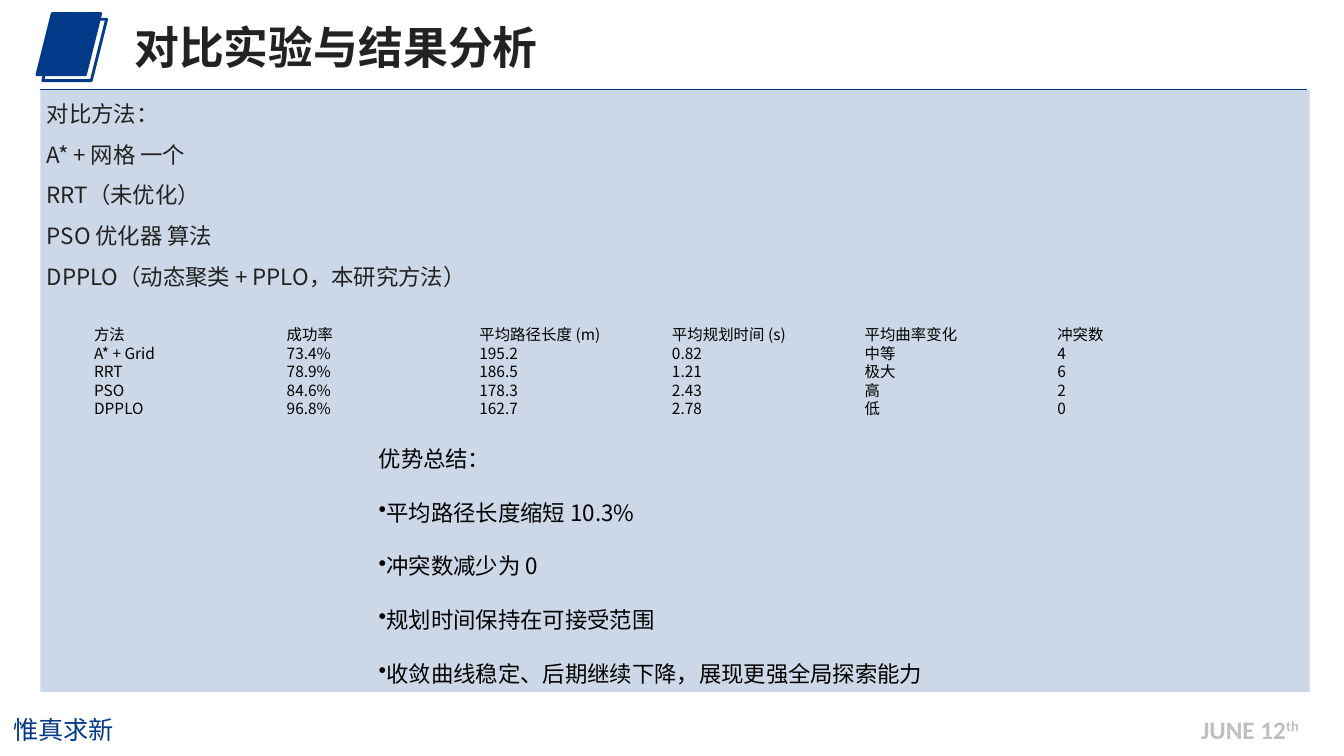
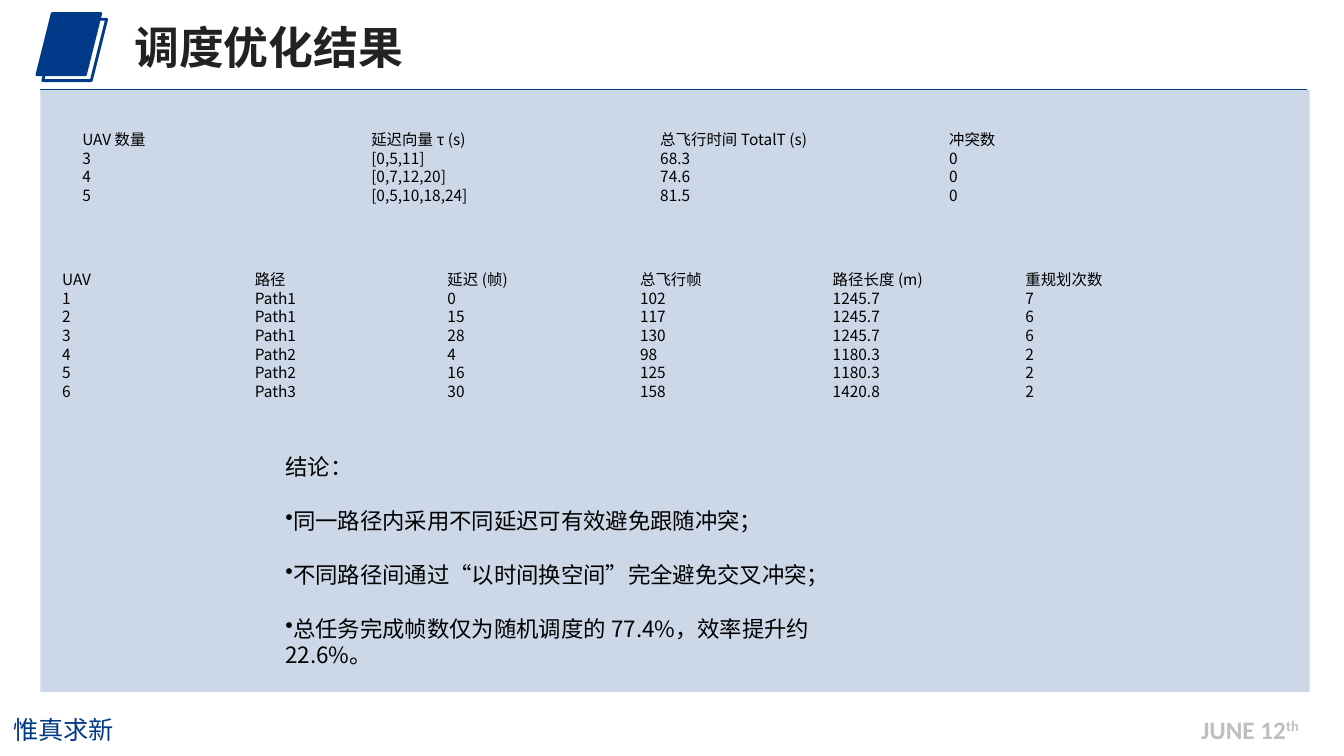
import pptx
import pptx.dml.color
import pptx.enum.shapes
import pptx.enum.text
import pptx.oxml
import pptx.oxml.ns
import pptx.util
from lxml import etree

NAVY = pptx.dml.color.RGBColor(0x01, 0x3A, 0x89)
INK = pptx.dml.color.RGBColor(0x22, 0x22, 0x22)
BLACK = pptx.dml.color.RGBColor(0x00, 0x00, 0x00)
SILVER = pptx.dml.color.RGBColor(0xBF, 0xBF, 0xBF)

HAN_FONT = "Noto Sans CJK SC"
LATIN_FONT = "Calibri"
COLUMNS, ROWS = 160, 90
PLAIN_TABLE_STYLE = "{2D5ABB26-0587-4C30-8999-92F81FD0307C}"

COMPARED_METHODS = [
    "对比方法：",
    "A* + 网格 一个",
    "RRT（未优化）",
    "PSO 优化器 算法",
    "DPPLO（动态聚类 + PPLO，本研究方法）",
]
METHOD_RESULTS = [
    ["方法", "成功率", "平均路径长度 (m)", "平均规划时间 (s)", "平均曲率变化", "冲突数"],
    ["A* + Grid", "73.4%", "195.2", "0.82", "中等", "4"],
    ["RRT", "78.9%", "186.5", "1.21", "极大", "6"],
    ["PSO", "84.6%", "178.3", "2.43", "高", "2"],
    ["DPPLO", "96.8%", "162.7", "2.78", "低", "0"],
]
ADVANTAGES = [
    "平均路径长度缩短 10.3%",
    "冲突数减少为 0",
    "规划时间保持在可接受范围",
    "收敛曲线稳定、后期继续下降，展现更强全局探索能力",
]
DELAY_RESULTS = [
    ["UAV 数量", "延迟向量 τ (s)", "总飞行时间 TotalT (s)", "冲突数"],
    ["3", "[0,5,11]", "68.3", "0"],
    ["4", "[0,7,12,20]", "74.6", "0"],
    ["5", "[0,5,10,18,24]", "81.5", "0"],
]
FLIGHT_RESULTS = [
    ["UAV", "路径", "延迟 (帧)", "总飞行帧", "路径长度 (m)", "重规划次数"],
    ["1", "Path1", "0", "102", "1245.7", "7"],
    ["2", "Path1", "15", "117", "1245.7", "6"],
    ["3", "Path1", "28", "130", "1245.7", "6"],
    ["4", "Path2", "4", "98", "1180.3", "2"],
    ["5", "Path2", "16", "125", "1180.3", "2"],
    ["6", "Path3", "30", "158", "1420.8", "2"],
]
CONCLUSIONS = [
    "同一路径内采用不同延迟可有效避免跟随冲突；",
    "不同路径间通过“以时间换空间”完全避免交叉冲突；",
    "总任务完成帧数仅为随机调度的 77.4%，效率提升约 22.6%。",
]


def add_xml(parent, tag, **attributes):
    return etree.SubElement(parent, pptx.oxml.ns.qn(tag), attributes)


class Deck:
    """Holds the style and the current slide; lengths are grid columns and rows."""

    def __init__(self):
        self.presentation = pptx.Presentation()
        self.presentation.slide_width = pptx.util.Inches(13.33)
        self.presentation.slide_height = pptx.util.Inches(7.5)
        self.slide = None

    def across(self, columns):
        return round(self.presentation.slide_width * columns / COLUMNS)

    def down(self, rows):
        return round(self.presentation.slide_height * rows / ROWS)

    def area(self, left, top, width, height):
        return self.across(left), self.down(top), self.across(width), self.down(height)

    def style(self, paragraph, size, color, bold=False, font=HAN_FONT):
        for run in paragraph.runs:
            run.font.size = pptx.util.Pt(size)
            run.font.bold = bold
            run.font.color.rgb = color
            run.font.name = font
            add_xml(run.font._element, "a:ea", typeface=font)

    def text(self, box, lines, size, color, wrap=True, **look):
        frame = self.slide.shapes.add_textbox(*self.area(*box)).text_frame
        frame.word_wrap = wrap
        frame.text = "\n".join(lines)
        for paragraph in frame.paragraphs:
            self.style(paragraph, size, color, **look)
        return frame.paragraphs

    def shape(self, kind, box, fill=None, outline=None, opacity=100):
        shape = self.slide.shapes.add_shape(kind, *self.area(*box))
        shape.shadow.inherit = False
        if fill is None:
            shape.fill.background()
        else:
            shape.fill.solid()
            shape.fill.fore_color.rgb = fill
            tint = shape._element.spPr.find(".//" + pptx.oxml.ns.qn("a:srgbClr"))
            add_xml(tint, "a:alpha", val=str(opacity * 1000))
        if outline is None:
            shape.line.fill.background()
        else:
            shape.line.color.rgb = outline
            shape.line.width = pptx.util.Pt(2)

    def rule(self, left, right, top):
        line = self.slide.shapes.add_connector(
            pptx.enum.shapes.MSO_CONNECTOR.STRAIGHT,
            self.across(left), self.down(top), self.across(right), self.down(top))
        line.line.color.rgb = NAVY
        line.line.width = pptx.util.Pt(0.75)
        add_xml(line._element.spPr, "a:effectLst")

    def page(self, title):
        """Start a slide with its emblem, title, footers and tinted panel."""
        self.slide = self.presentation.slides.add_slide(
            self.presentation.slide_layouts[6])
        shapes = pptx.enum.shapes.MSO_SHAPE
        for shift, fill in ((0, NAVY), (0.7, None)):
            self.shape(shapes.PARALLELOGRAM, (4.4 + shift, 1.6 + shift, 7.6, 7.3),
                       fill, outline=NAVY)
        self.rule(4.8, 155.6, 10.7)
        heading, = self.text((14.8, 2.5, 88, 8), [title], 32, INK, bold=True)
        heading.line_spacing = 0.9
        self.text((0.4, 84.4, 36, 4.8), ["惟真求新"], 18, NAVY)
        date, = self.text((141.8, 84.4, 14.4, 4.8), ["JUNE 12"], 18, SILVER, wrap=False,
                          bold=True, font=LATIN_FONT)
        ordinal = date.add_run()
        ordinal.text = "th"
        self.style(date, 18, SILVER, bold=True, font=LATIN_FONT)
        ordinal.font._element.set("baseline", "30000")
        self.shape(shapes.RECTANGLE, (4.8, 10.7, 151.1, 71.7), NAVY, opacity=20)

    def listing(self, box, lines):
        for paragraph in self.text(box, lines, 16, INK):
            paragraph.alignment = pptx.enum.text.PP_ALIGN.JUSTIFY
            paragraph.line_spacing = 1.2
            paragraph.space_before = pptx.util.Pt(6)

    def summary(self, box, heading, points):
        """Write a heading and bulleted points, one line of space apart."""
        for paragraph in self.text(box, [heading, *points], 16, BLACK)[1:]:
            paragraph.space_before = pptx.util.Pt(19.2)
            properties = paragraph._p.get_or_add_pPr()
            properties.set("marL", "0")
            properties.set("indent", "0")
            add_xml(properties, "a:buChar", char="•")

    def table(self, left, top, records, width=137.6, row_height=2.2):
        box = self.area(left, top, width, row_height * len(records))
        table = self.slide.shapes.add_table(len(records), len(records[0]), *box).table
        table.first_row = table.horz_banding = False
        style_id = table._tbl.tblPr.find(pptx.oxml.ns.qn("a:tableStyleId"))
        style_id.text = PLAIN_TABLE_STYLE
        for row, record in zip(table.rows, records):
            for cell, value in zip(row.cells, record):
                cell.fill.background()
                cell.margin_left = cell.margin_right = 0
                cell.margin_top = cell.margin_bottom = 0
                cell.vertical_anchor = pptx.enum.text.MSO_ANCHOR.MIDDLE
                cell.text_frame.text = value
                self.style(cell.text_frame.paragraphs[0], 11, BLACK)


def main():
    deck = Deck()

    deck.page("对比实验与结果分析")
    deck.listing((4.4, 10.7, 57.2, 29.4), COMPARED_METHODS)
    deck.table(11.2, 38.4, METHOD_RESULTS)
    deck.summary((43.9, 52.4, 81, 30.2), "优势总结：", ADVANTAGES)

    deck.page("调度优化结果")
    deck.table(9.8, 15.2, DELAY_RESULTS)
    deck.table(7.4, 31.9, FLIGHT_RESULTS)
    deck.summary((32.8, 53.4, 66.7, 27), "结论：", CONCLUSIONS)

    deck.presentation.save("out.pptx")


if __name__ == "__main__":
    main()
